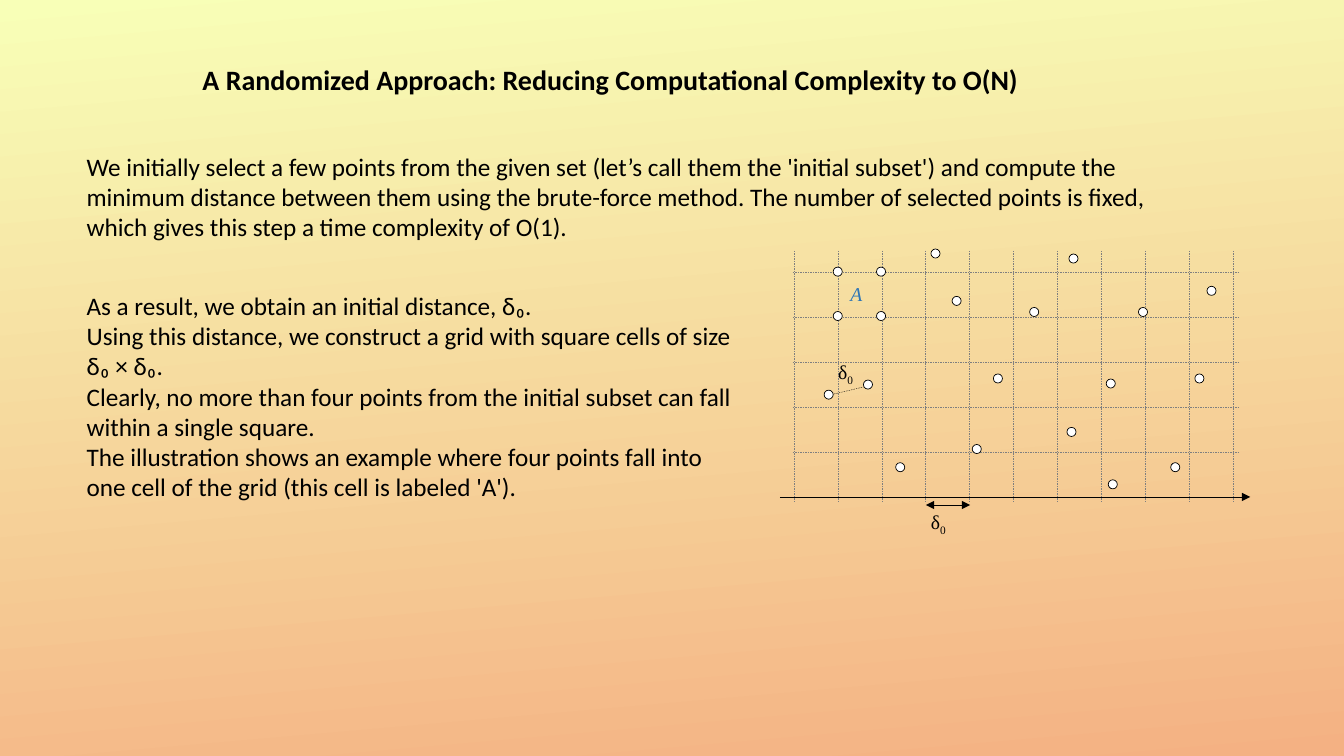
from lxml.etree import SubElement
from pptx import Presentation
from pptx.dml.color import RGBColor
from pptx.enum.dml import MSO_LINE
from pptx.enum.shapes import MSO_CONNECTOR, MSO_SHAPE
from pptx.enum.text import MSO_ANCHOR, MSO_AUTO_SIZE, PP_ALIGN
from pptx.oxml.ns import qn
from pptx.util import Inches, Pt

BLACK = RGBColor(0x00, 0x00, 0x00)
WHITE = RGBColor(0xFF, 0xFF, 0xFF)
GRAY = RGBColor(0x7F, 0x7F, 0x7F)
BLUE = RGBColor(0x2E, 0x75, 0xB6)
YELLOW = RGBColor(0xF8, 0xFF, 0xB7)
ORANGE = RGBColor(0xF4, 0xB1, 0x83)

TITLE_FORMAT = {"name": "Calibri", "size": Pt(20), "bold": True}
BODY_FORMAT = {"name": "Calibri", "size": Pt(18)}
LABEL_FORMAT = {"name": "Times New Roman", "size": Pt(14)}

# placeholder index, (left, top, width, height), format, paragraphs
TEXTS = [
    (0, (1.91, 0.57, 10.07, 0.44), TITLE_FORMAT,
     ["A Randomized Approach: Reducing Computational Complexity to O(N)"]),
    (1, (0.76, 1.45, 11.32, 1), BODY_FORMAT,
     ["We initially select a few points from the given set (let’s call them the "
      "'initial subset') and compute the minimum distance between them using the "
      "brute-force method. The number of selected points is fixed, which gives "
      "this step a time complexity of O(1)."]),
    (2, (0.76, 2.83, 6.67, 2.2), BODY_FORMAT,
     ["As a result, we obtain an initial distance, δ₀.",
      "Using this distance, we construct a grid with square cells of size δ₀ × δ₀.",
      "Clearly, no more than four points from the initial subset can fall within "
      "a single square.",
      "The illustration shows an example where four points fall into one cell of "
      "the grid (this cell is labeled 'A')."]),
]

GRID_LEFT, GRID_RIGHT, COLUMNS = 7.88, 12.24, 10
GRID_TOP, GRID_BOTTOM, ROWS = 2.7, 4.93, 5
ROW_SPAN = (7.87, 12.3)
COLUMN_SPAN = (2.49, 4.98)

POINT_SIZE = 0.09
POINTS = [  # left, top
    (8.18, 3.87), (8.57, 3.77), (8.89, 4.59), (9.65, 4.41), (9.86, 3.71),
    (9.24, 2.47), (9.45, 2.94), (10.22, 3.05), (10.61, 2.52), (11.3, 3.05),
    (11.98, 2.84), (11.86, 3.71), (10.98, 3.76), (10.59, 4.24), (11, 4.76),
    (11.62, 4.59),
    (8.27, 2.65), (8.7, 2.65), (8.27, 3.09), (8.7, 3.09),  # corners of cell A
]

# box, text, subscript, extra format, colour
LABELS = [
    ((9.24, 5.06, 0.39, 0.37), "δ", "0", {}, BLACK),
    ((8.32, 3.57, 0.28, 0.33), "δ", "0", {}, BLACK),
    ((8.44, 2.8, 0.21, 0.27), "A", "", {"italic": True}, BLUE),
]


def add_span(para, text, formats, color=BLACK):
    span = para.add_run()
    span.text = text
    for name, value in formats.items():
        setattr(span.font, name, value)
    span.font.color.rgb = color
    return span


def fill_placeholder(holder, box, formats, lines):
    holder.left, holder.top, holder.width, holder.height = map(Inches, box)
    frame = holder.text_frame
    frame.word_wrap = True
    frame.auto_size = MSO_AUTO_SIZE.NONE
    frame.vertical_anchor = MSO_ANCHOR.TOP
    for number, line in enumerate(lines):
        para = frame.add_paragraph() if number else frame.paragraphs[0]
        para.alignment = PP_ALIGN.LEFT
        para.space_before = Pt(0)
        properties = para._p.get_or_add_pPr()
        properties.set("marL", "0")
        properties.set("indent", "0")
        SubElement(properties, qn("a:buNone"))
        add_span(para, line, formats)


def add_line(shapes, start, end, color=BLACK, width=0.25, dash=None, arrows=()):
    """Draw a line; arrows lists the ends ("headEnd", "tailEnd") with a triangle."""
    line = shapes.add_connector(MSO_CONNECTOR.STRAIGHT, *map(Inches, start + end))
    line.line.color.rgb = color
    line.line.width = Pt(width)
    if dash:
        line.line.dash_style = dash
    for arrow in arrows:
        SubElement(line.line._get_or_add_ln(), qn(f"a:{arrow}"), type="triangle")
    SubElement(line._element.spPr, qn("a:effectLst"))


def add_grid(shapes):
    style = {"color": GRAY, "dash": MSO_LINE.DASH}
    left, right = ROW_SPAN
    top, bottom = COLUMN_SPAN
    for row in range(ROWS + 1):
        y = GRID_TOP + row * (GRID_BOTTOM - GRID_TOP) / ROWS
        add_line(shapes, (left, y), (right, y), **style)
    for column in range(COLUMNS + 1):
        x = GRID_LEFT + column * (GRID_RIGHT - GRID_LEFT) / COLUMNS
        add_line(shapes, (x, top), (x, bottom), **style)


def add_point(shapes, left, top):
    point = shapes.add_shape(MSO_SHAPE.OVAL, Inches(left), Inches(top),
                             Inches(POINT_SIZE), Inches(POINT_SIZE))
    point.shadow.inherit = False
    point.fill.solid()
    point.fill.fore_color.rgb = WHITE
    point.line.color.rgb = BLACK
    point.line.width = Pt(0.5)


def add_label(shapes, box, text, subscript, extra, color):
    frame = shapes.add_textbox(*map(Inches, box)).text_frame
    frame.word_wrap = True
    for side in ("left", "top", "right", "bottom"):
        setattr(frame, f"margin_{side}", 0)
    para = frame.paragraphs[0]
    formats = {**LABEL_FORMAT, **extra}
    add_span(para, text, formats, color)
    if subscript:
        span = add_span(para, subscript, formats, color)
        span._r.get_or_add_rPr().set("baseline", "-25000")


def main():
    deck = Presentation()
    deck.slide_width, deck.slide_height = Inches(13.34), Inches(7.5)
    page = deck.slides.add_slide(deck.slide_layouts.get_by_name("Two Content"))

    background = page.background.fill
    background.gradient()
    background.gradient_angle = 275
    for stop, color in zip(background.gradient_stops, (YELLOW, ORANGE)):
        stop.color.rgb = color

    holders = {holder.placeholder_format.idx: holder for holder in page.placeholders}
    for index, box, formats, lines in TEXTS:
        fill_placeholder(holders[index], box, formats, lines)

    shapes = page.shapes.add_group_shape().shapes
    add_line(shapes, (8.23, 3.92), (8.61, 3.83), dash=MSO_LINE.DASH)
    add_grid(shapes)
    add_line(shapes, (7.74, GRID_BOTTOM), (12.41, GRID_BOTTOM), width=0.5,
             arrows=["tailEnd"])
    add_line(shapes, (9.19, 5.01), (9.63, 5.01), arrows=["headEnd", "tailEnd"])
    for point in POINTS:
        add_point(shapes, *point)
    for label in LABELS:
        add_label(shapes, *label)

    deck.save("out.pptx")


if __name__ == "__main__":
    main()
